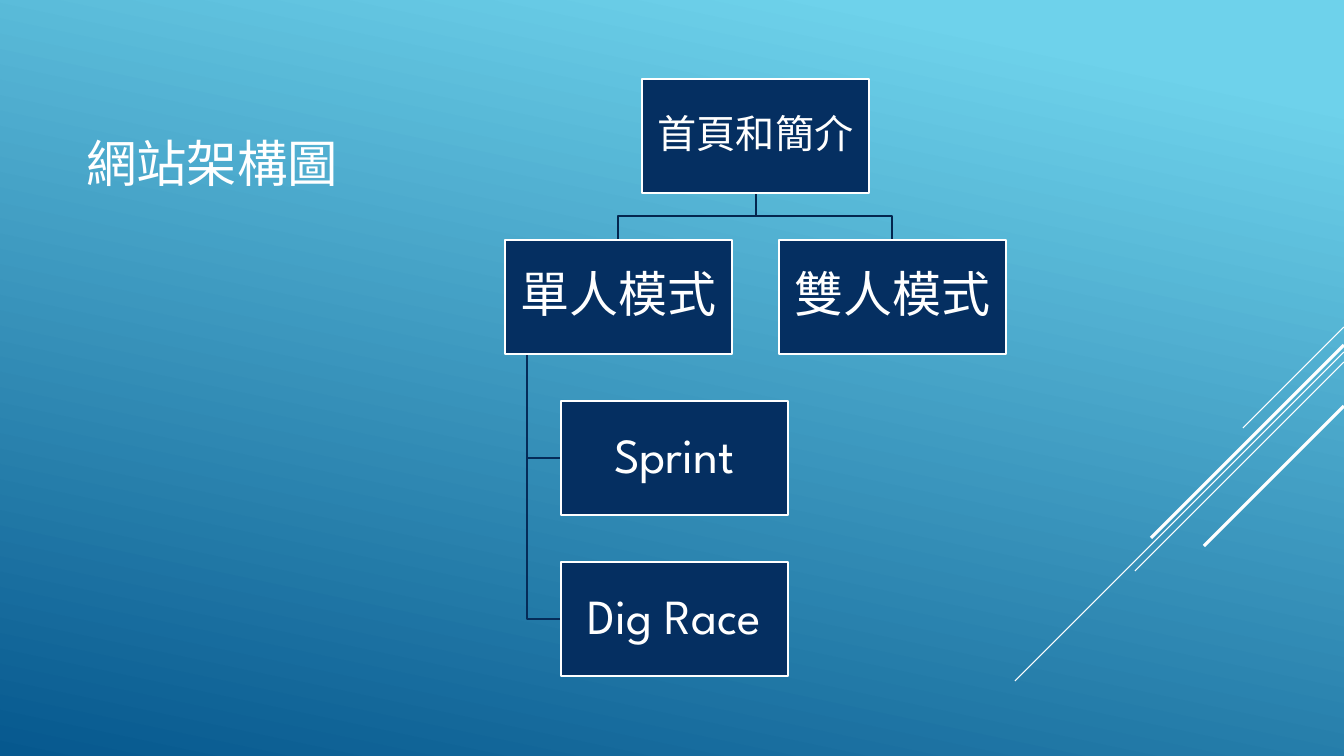
from pptx import Presentation
from pptx.dml.color import RGBColor
from pptx.enum.shapes import MSO_CONNECTOR, MSO_SHAPE
from pptx.enum.text import MSO_ANCHOR, MSO_AUTO_SIZE, PP_ALIGN
from pptx.oxml.ns import qn
from pptx.util import Pt
from lxml import etree

PX = 914400 / 100.8
FONT = "League Spartan"
COLORS = {"sky": "6ED2EB", "deep": "06588E", "navy": "052F61",
          "branch": "04264E", "twig": "052B58", "white": "FFFFFF"}


def px(n):
    return round(n * PX)


def color(name):
    return RGBColor.from_string(COLORS[name])


prs = Presentation()
prs.slide_width, prs.slide_height = px(1344), px(756)
s = prs.slides.add_slide(prs.slide_layouts[5])

# Background gradient
fill = s.background.fill
fill.gradient()
fill.gradient_angle = 258
for stop, (pos, name) in zip(fill.gradient_stops, [(0.1, "sky"), (1, "deep")]):
    stop.position = pos
    stop.color.rgb = color(name)

# Diagonal accent lines, all at 45 degrees from the right edge
for top, run, width in [(327, 101, 0.75), (352, 329, 0.75), (362, 209, 0.75),
                        (345, 193, 2.25), (406, 140, 2.25)]:
    c = s.shapes.add_connector(MSO_CONNECTOR.STRAIGHT, px(1344), px(top),
                               px(1344 - run), px(top + run))
    c.line.color.rgb = color("white")
    c.line.width = Pt(width)
    etree.SubElement(c._element.spPr, qn("a:effectLst"))

# Title
title = s.shapes.title
title.left, title.top, title.width, title.height = px(76), px(79), px(940), px(166)
tf = title.text_frame
tf.text = "網站架構圖"
tf.auto_size = MSO_AUTO_SIZE.NONE
tf.vertical_anchor = MSO_ANCHOR.MIDDLE
p = tf.paragraphs[0]
p.alignment = PP_ALIGN.LEFT
font = p.runs[0].font
font.name, font.size, font.color.rgb = FONT, Pt(36), color("white")

# Site map grid: label, left edge, row, text size
BOX_W, BOX_H, TOP, PITCH = 227, 114, 79, 161
ROOT_X, SINGLE_X, DOUBLE_X, GAME_X = 642, 505, 779, 561
nodes = [("首頁和簡介", ROOT_X, 0, 28), ("單人模式", SINGLE_X, 1, 35),
         ("Sprint", GAME_X, 2, 35), ("Dig Race", GAME_X, 3, 35),
         ("雙人模式", DOUBLE_X, 1, 35)]

# Branches from the home page, then twigs from single-player mode to its games
root_mid, root_end, mode_top = ROOT_X + BOX_W / 2, TOP + BOX_H, TOP + PITCH
bend = (root_end + mode_top) / 2
trunk, mode_end = SINGLE_X + 22, mode_top + BOX_H
routes = []
for x in (DOUBLE_X, SINGLE_X):
    mid = x + BOX_W / 2
    routes.append(("branch", [(root_mid, root_end), (root_mid, bend),
                              (mid, bend), (mid, mode_top)]))
for row in (3, 2):
    y = TOP + row * PITCH + BOX_H / 2
    routes.append(("twig", [(trunk, mode_end), (trunk, y), (GAME_X, y)]))
for name, points in routes:
    fb = s.shapes.build_freeform(*points[0], scale=PX)
    fb.add_line_segments(points[1:], close=False)
    sp = fb.convert_to_shape()
    sp.shadow.inherit = False
    sp.fill.background()
    sp.line.color.rgb = color(name)
    sp.line.width = Pt(1.25)

# Page boxes
for label, x, row, size in nodes:
    sp = s.shapes.add_shape(MSO_SHAPE.RECTANGLE, px(x), px(TOP + row * PITCH),
                            px(BOX_W), px(BOX_H))
    sp.shadow.inherit = False
    sp.fill.solid()
    sp.fill.fore_color.rgb = color("navy")
    sp.line.color.rgb = color("white")
    sp.line.width = Pt(1.25)
    tf = sp.text_frame
    frame = {"word_wrap": True, "vertical_anchor": MSO_ANCHOR.MIDDLE}
    frame.update({f"margin_{side}": px(2) for side in ("left", "top", "right", "bottom")})
    for key, value in frame.items():
        setattr(tf, key, value)
    p = tf.paragraphs[0]
    p.alignment, p.line_spacing, p.space_after = PP_ALIGN.CENTER, 0.9, Pt(size * 0.35)
    r = p.add_run()
    r.text = label
    r.font.name, r.font.size, r.font.color.rgb = FONT, Pt(size), color("white")

prs.save("out.pptx")
